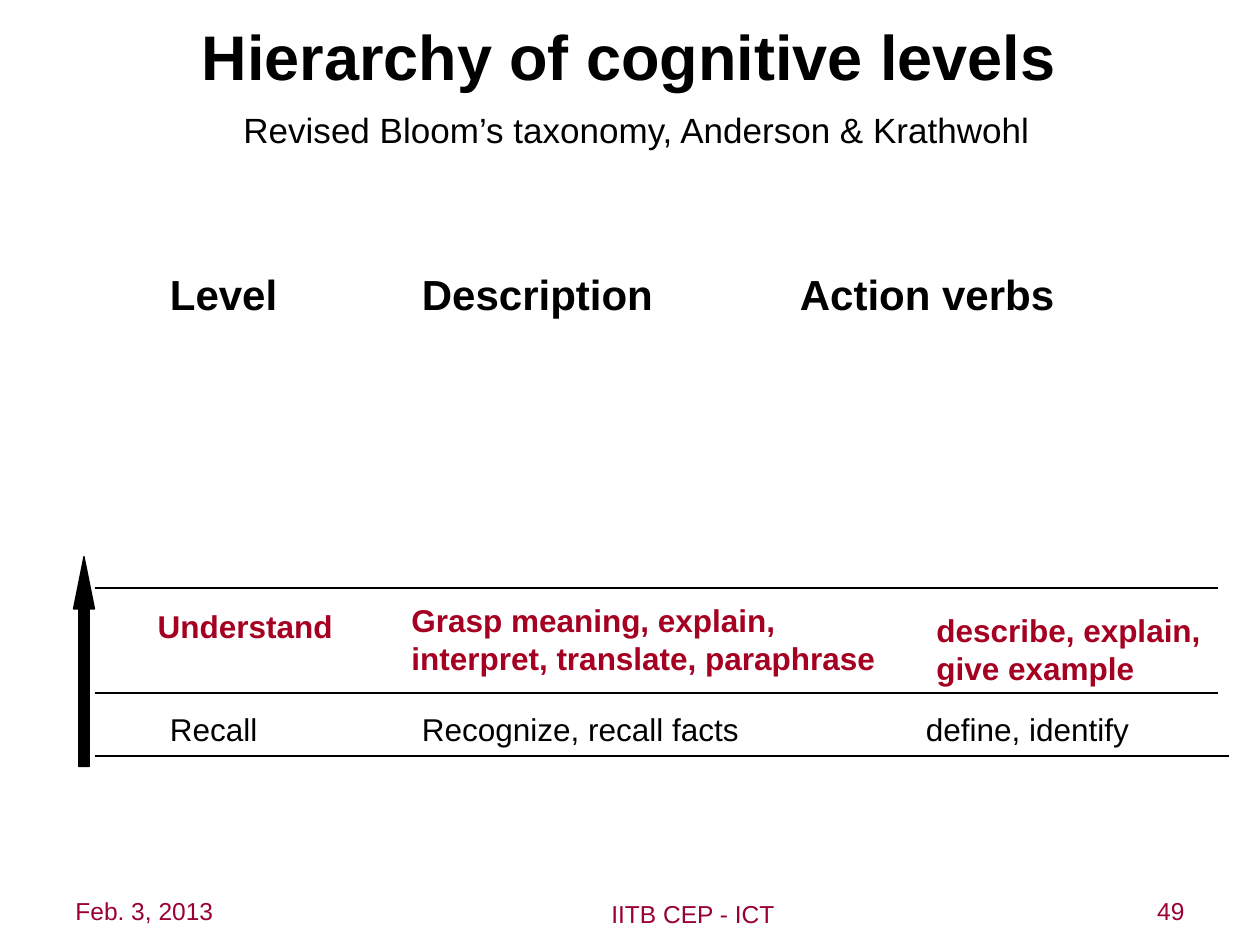
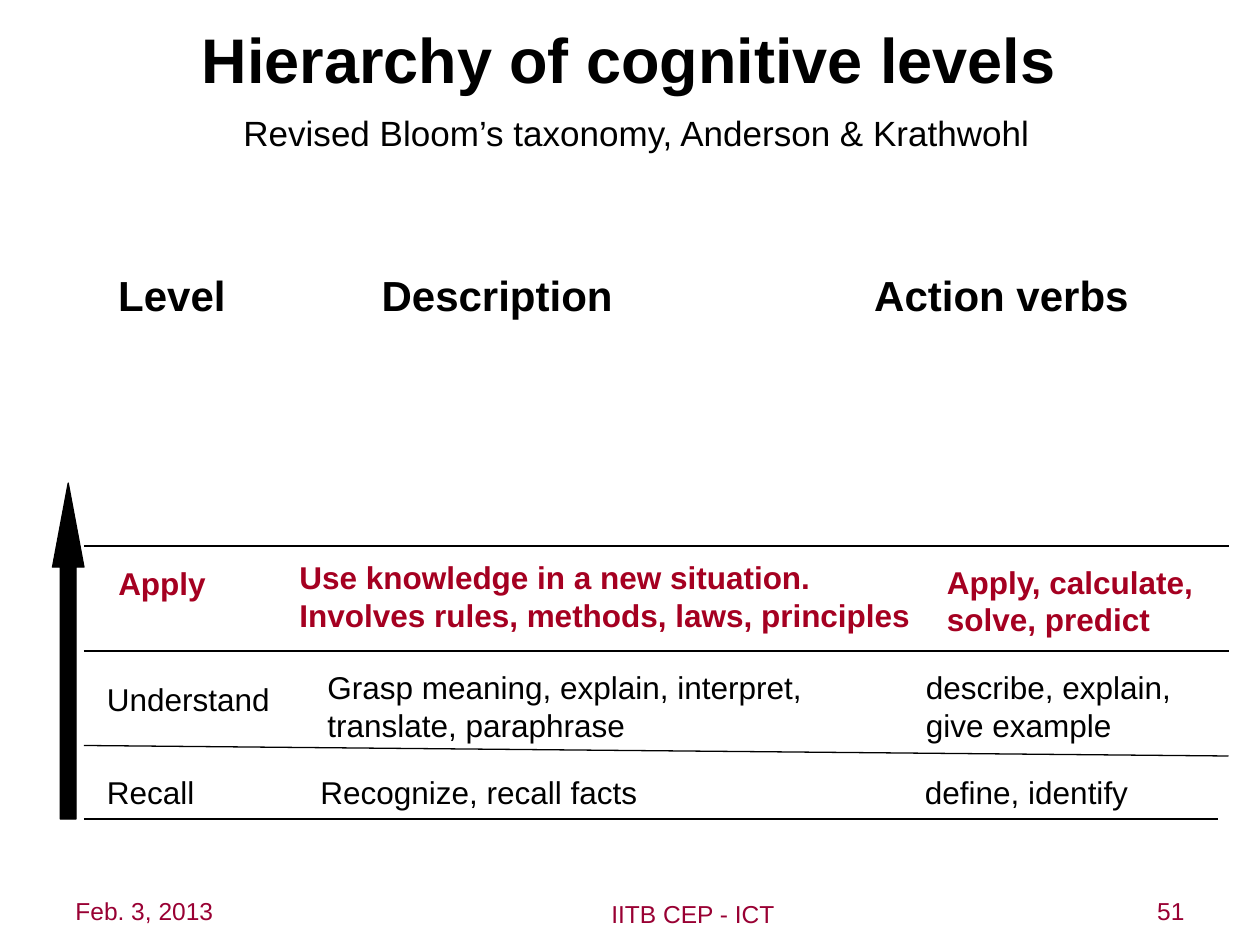
from dataclasses import dataclass

from lxml.etree import SubElement
from pptx import Presentation
from pptx.dml.color import RGBColor
from pptx.enum.shapes import MSO_CONNECTOR as CONN, MSO_SHAPE as SHAPE
from pptx.enum.text import MSO_ANCHOR as ANCHOR, MSO_AUTO_SIZE as FIT, PP_ALIGN as ALIGN
from pptx.oxml.ns import qn
from pptx.util import Pt


@dataclass(frozen=True)
class Theme:
    font: str = "Arial"
    ink: str = "000000"
    accent: str = "A50021"
    footer: str = "990033"
    title_size: int = 36
    heading_size: int = 24
    subtitle_size: int = 20
    cell_size: int = 18
    footer_size: int = 14
    rule_width: float = 0.75


T = Theme()
TITLE = dict(size=T.title_size, color=T.ink, bold=True)
SUBTITLE = dict(size=T.subtitle_size, color=T.ink, bold=False)
HEADING = dict(size=T.heading_size, color=T.ink, bold=True)
CELL = dict(size=T.cell_size, color=T.ink, bold=False)
NEW_CELL = dict(CELL, color=T.accent, bold=True)
FOOTER = dict(size=T.footer_size, color=T.footer, bold=False)


def fill_text(sp, text, style, align=ALIGN.LEFT, tabs=()):
    """Write one paragraph per line, with tab stops given from the text's left edge."""
    tf = sp.text_frame
    frame = dict(word_wrap=True, auto_size=FIT.NONE, vertical_anchor=ANCHOR.TOP,
                 margin_left=Pt(7.2), margin_right=Pt(7.2),
                 margin_top=Pt(3.6), margin_bottom=Pt(3.6))
    for name, value in frame.items():
        setattr(tf, name, value)
    for i, line in enumerate(text.split("\n")):
        p = tf.paragraphs[0] if i == 0 else tf.add_paragraph()
        p.alignment = align
        if tabs:
            stops = SubElement(p._p.get_or_add_pPr(), qn("a:tabLst"))
            for pos in tabs:
                SubElement(stops, qn("a:tab"), pos=str(Pt(pos)), algn="l")
        r = p.add_run()
        r.text = line
        for name, value in dict(name=T.font, size=Pt(style["size"]), bold=style["bold"]).items():
            setattr(r.font, name, value)
        r.font.color.rgb = RGBColor.from_string(style["color"])


def add_text(s, x, y, w, h, text, style, **options):
    sp = s.shapes.add_textbox(Pt(x), Pt(y), Pt(w), Pt(h))
    fill_text(sp, text, style, **options)


def add_rule(s, x1, y1, x2, y2):
    rule = s.shapes.add_connector(CONN.STRAIGHT, Pt(x1), Pt(y1), Pt(x2), Pt(y2))
    rule.line.width = Pt(T.rule_width)
    rule.line.color.rgb = RGBColor.from_string(T.ink)
    SubElement(rule._element.spPr, qn("a:effectLst"))


def add_level_arrow(s, x, y, w, h, head):
    """Draw the upward arrow; head is its head length as a multiple of its width."""
    sp = s.shapes.add_shape(SHAPE.UP_ARROW, Pt(x), Pt(y), Pt(w), Pt(h))
    sp.adjustments[0], sp.adjustments[1] = 0.5, head
    sp.shadow.inherit = False
    sp.fill.solid()
    sp.fill.fore_color.rgb = sp.line.color.rgb = RGBColor.from_string(T.ink)
    sp.line.width = Pt(T.rule_width)


def add_header(s, box):
    x, y, w, h = box
    title = s.shapes.title
    for name, value in dict(left=x, top=y, width=w, height=h).items():
        setattr(title, name, Pt(value))
    fill_text(title, "Hierarchy of cognitive levels", TITLE)
    add_text(s, x + 24, y + 52, w - 38, 32,
             "Revised Bloom’s taxonomy, Anderson & Krathwohl", SUBTITLE)


def add_ladder(s, box, arrow_width, head, rules, cells, recall):
    """Place the arrow, rules and level rows relative to the box."""
    x, y, w, h = box
    for x1, y1, x2, y2 in rules:
        add_rule(s, x + x1, y + y1, x + x2, y + y2)
    add_level_arrow(s, x, y, arrow_width, h, head)
    for dx, dy, width, text, style in cells:
        add_text(s, x + dx, y + dy, width, 29 + 21.6 * text.count("\n"), text, style)
    dx, dy, width, tabs = recall
    add_text(s, x + dx, y + dy, width, 29,
             "Recall\tRecognize, recall facts\tdefine, identify", CELL, tabs=tabs)


def add_footer(s, box, number):
    x, y, w, h = box
    add_text(s, x, y, 168, h, "Feb. 3, 2013", FOOTER)
    add_text(s, x + 246, y + 1.5, 228, h, "IITB CEP - ICT", FOOTER, align=ALIGN.CENTER)
    add_text(s, x + w - 102, y, 102, h, str(number), FOOTER, align=ALIGN.RIGHT)


def add_levels_slide(prs, number, header_top, heading_box, heading_tabs, ladder):
    s = prs.slides.add_slide(prs.slide_layouts[5])
    add_header(s, (108, header_top, 504, 50))
    add_text(s, *heading_box, "Level\tDescription\tAction verbs", HEADING, tabs=heading_tabs)
    add_ladder(s, **ladder)
    add_footer(s, (36, 508.5, 648, 32), number)


UNDERSTAND_LADDER = dict(
    box=(42, 318, 660, 120), arrow_width=12, head=2.5,
    rules=[(12, 18, 654, 18), (12, 78, 654, 78), (12, 114, 660, 114)],
    cells=[
        (41, 25.5, 120, "Understand", NEW_CELL),
        (186, 22, 300, "Grasp meaning, explain,\ninterpret, translate, paraphrase", NEW_CELL),
        (486, 27.5, 174, "describe, explain,\ngive example", NEW_CELL),
    ],
    recall=(48, 84, 594, (144, 432)))

APPLY_LADDER = dict(
    box=(30, 276, 672, 192), arrow_width=18, head=2.67,
    rules=[(18, 36, 672, 36), (18, 96, 672, 96), (18, 150, 672, 156), (18, 192, 666, 192)],
    cells=[
        (30.5, 43, 70, "Apply", NEW_CELL),
        (134, 39.5, 374, "Use knowledge in a new situation.\n"
                         "Involves rules, methods, laws, principles", NEW_CELL),
        (504, 42, 162, "Apply, calculate,\nsolve, predict", NEW_CELL),
        (24, 109, 110, "Understand", CELL),
        (150, 102, 288, "Grasp meaning, explain, interpret,\ntranslate, paraphrase", CELL),
        (492, 102, 180, "describe, explain,\ngive example", CELL),
    ],
    recall=(24, 162, 654, (122, 467.5)))


def main():
    prs = Presentation()
    prs.slide_width, prs.slide_height = Pt(720), Pt(540)
    add_levels_slide(prs, 49, 6.5, (90, 150, 528, 36), (144, 360), UNDERSTAND_LADDER)
    add_levels_slide(prs, 51, 8, (60.5, 150.5, 592, 36), (150.5, 432), APPLY_LADDER)
    prs.save("out.pptx")


if __name__ == "__main__":
    main()
